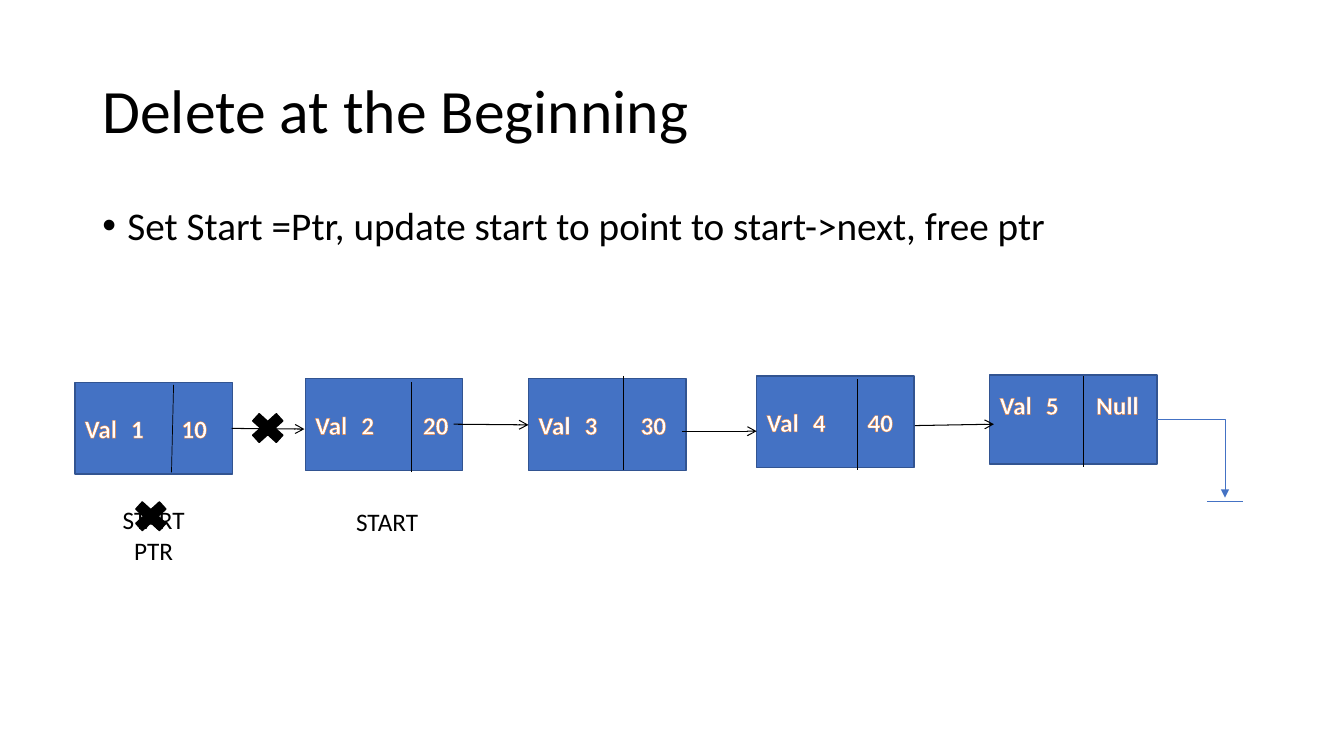
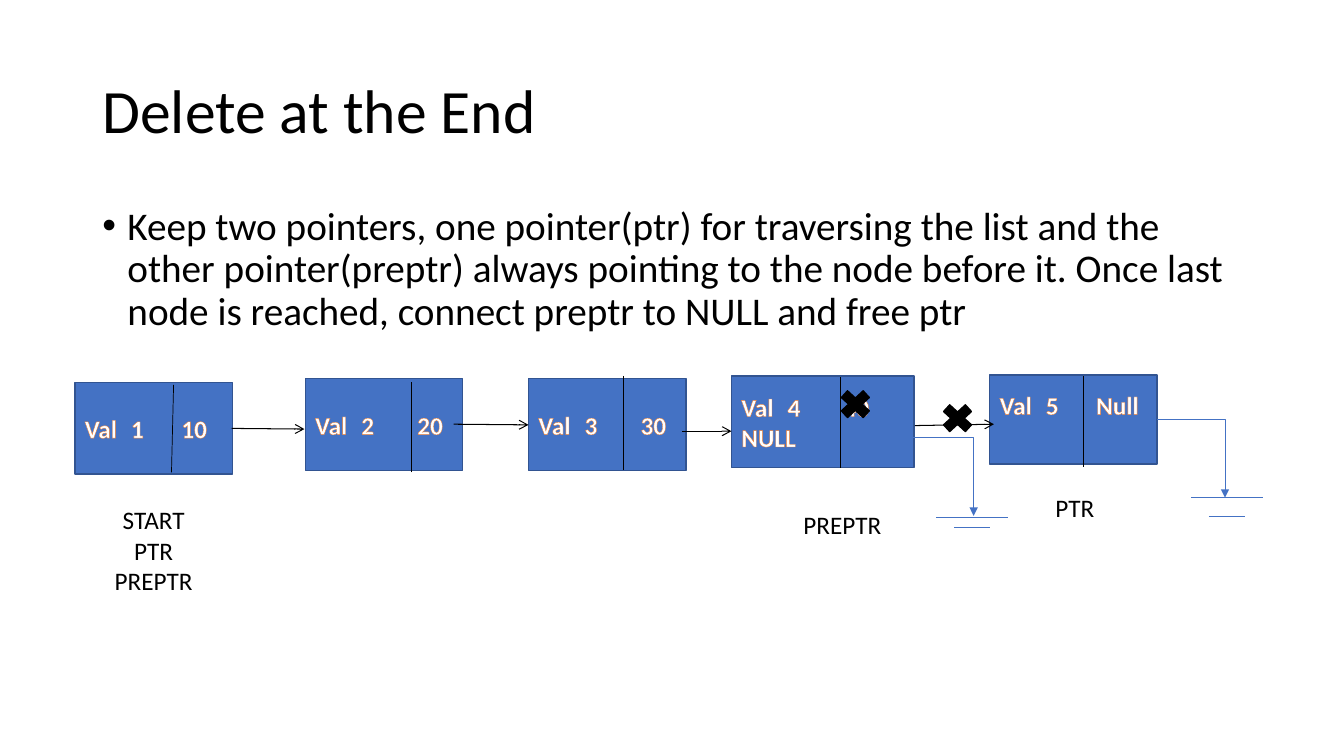
"""Build two slides on deleting nodes from a linked list."""
from dataclasses import dataclass, replace

from lxml.etree import SubElement
from pptx import Presentation
from pptx.dml.color import RGBColor as Rgb
from pptx.enum.shapes import MSO_CONNECTOR as Link, MSO_SHAPE as Form
from pptx.enum.text import MSO_ANCHOR as Anchor, MSO_AUTO_SIZE as Fit, PP_ALIGN as Align
from pptx.oxml.ns import qn
from pptx.util import Pt


@dataclass(frozen=True)
class Theme:
    """Hold the colours, font and sizes of the deck."""
    font: str = "Calibri"
    ink: str = "000000"
    pale: str = "FFFFFF"
    blue: str = "4472C4"
    edge: str = "325491"
    glow: str = "ED7D31"
    title: float = 44
    body: float = 28
    label: float = 18
    rim: float = 1
    thin: float = 0.5
    arrow: float = 0.75
    halo: float = 1.75


@dataclass(frozen=True)
class Node:
    """Hold one list node, its divider and its outgoing arrow."""
    x: float
    y: float
    lines: tuple
    tab: float
    split: tuple
    arrow: tuple = ()
    w: float = 112.5
    h: float = 65.5
    foot: float = 3.6


THEME = Theme()
NODES = (
    Node(53.5, 273, ("Val\t1\t10",), 69, (122.5, 337.5, 124, 275),
         (165.5, 306, 217.5, 306.5)),
    Node(218, 270.5, ("Val\t2\t20",), 77, (294, 337.5, 294, 273),
         (324, 303, 377.5, 303.5)),
    Node(377.5, 270.5, ("Val\t3\t30",), 73, (445.5, 268.5, 445.5, 336),
         (487.5, 308, 540.5, 308)),
    Node(540.5, 268.5, ("Val\t4\t40",), 72, (612.5, 335.5, 612.5, 270.5),
         (653.5, 304, 710, 303)),
    Node(707, 268, ("Val\t5\tNull",), 69, (774, 333.5, 774, 268.5),
         w=119.5, h=63.5, foot=25),
)


def points(*nums):
    """Turn numbers into lengths in points."""
    return [Pt(num) for num in nums]


def write(para, text, size, color=THEME.ink, bold=False):
    """Add one styled run to a paragraph."""
    run = para.add_run()
    run.text = text
    font = run.font
    font.name, font.size, font.bold = THEME.font, Pt(size), bold
    font.color.rgb = Rgb.from_string(color)
    return run


def outline(run):
    """Give the letters of a run a coloured rim."""
    props = run.font._element if hasattr(run.font, "_element") else run._r.get_or_add_rPr()
    line = props.makeelement(qn("a:ln"), {"w": str(Pt(THEME.halo))})
    fill = SubElement(line, qn("a:solidFill"))
    SubElement(fill, qn("a:srgbClr"), val=THEME.glow)
    props.insert(0, line)


def stops(para, *places):
    """Set the tab stops of a paragraph."""
    tabs = SubElement(para._p.get_or_add_pPr(), qn("a:tabLst"))
    for place in places:
        SubElement(tabs, qn("a:tab"), pos=str(Pt(place)), algn="l")


def shape(slide, form, box, fill, edge):
    """Add a flat preset shape."""
    item = slide.shapes.add_shape(form, *points(*box))
    item.shadow.inherit = False
    item.fill.solid()
    item.fill.fore_color.rgb = Rgb.from_string(fill)
    item.line.color.rgb = Rgb.from_string(edge)
    item.line.width = Pt(THEME.rim)
    return item


def line(slide, ends, color=THEME.ink, width=THEME.thin, head=None, kind=Link.STRAIGHT):
    """Add a line, with an arrowhead at its end if one is named."""
    item = slide.shapes.add_connector(kind, *points(*ends))
    item.line.color.rgb = Rgb.from_string(color)
    item.line.width = Pt(width)
    if head:
        SubElement(item.line._get_or_add_ln(), qn("a:tailEnd"), type=head)
    SubElement(item._element.spPr, qn("a:effectLst"))
    return item


def elbow(slide, ends):
    """Add an arrow that runs right and then down."""
    item = line(slide, ends, THEME.blue, head="triangle", kind=Link.ELBOW)
    item._element.spPr.find(qn("a:prstGeom")).set("prst", "bentConnector2")


def bar(slide, mid, y, width):
    """Add one level stroke of a ground sign."""
    line(slide, (mid - width / 2, y, mid + width / 2, y), THEME.blue)


def cross(slide, x, y, w, h):
    """Add a black cross."""
    shape(slide, Form.MATH_MULTIPLY, (x, y, w, h), THEME.ink, THEME.ink)


def label(slide, box, *names):
    """Add centred pointer names, one to a line."""
    frame = slide.shapes.add_textbox(*points(*box)).text_frame
    frame.word_wrap = True
    for i, name in enumerate(names):
        para = frame.add_paragraph() if i else frame.paragraphs[0]
        para.alignment = Align.CENTER
        write(para, name, THEME.label)


def draw(slide, node):
    """Add the box of a node with its text."""
    item = shape(slide, Form.RECTANGLE, (node.x, node.y, node.w, node.h),
                 THEME.blue, THEME.edge)
    frame = item.text_frame
    frame.word_wrap = True
    frame.vertical_anchor = Anchor.MIDDLE
    frame.margin_bottom = Pt(node.foot)
    para = frame.paragraphs[0]
    para.alignment = Align.LEFT
    stops(para, 33, node.tab)
    for i, text in enumerate(node.lines):
        if i:
            para.add_line_break()
        outline(write(para, text, THEME.label, THEME.pale, True))


def chain(slide, nodes):
    """Add the list: boxes, dividers, arrows and the last elbow."""
    for node in nodes:
        draw(slide, node)
    for node in nodes:
        line(slide, node.split)
        if node.arrow:
            line(slide, node.arrow, width=THEME.arrow, head="arrow")
    elbow(slide, (826.5, 299.5, 875, 355.5))


def bullet(slide, text):
    """Add the bulleted statement under the title."""
    frame = slide.shapes.add_textbox(*points(66, 144, 828, 342.5)).text_frame
    frame.word_wrap = True
    para = frame.paragraphs[0]
    para.line_spacing, para.space_before = 0.9, Pt(10)
    props = para._p.get_or_add_pPr()
    props.set("marL", str(Pt(18)))
    props.set("indent", str(Pt(-18)))
    SubElement(props, qn("a:buFont"), typeface="Arial")
    SubElement(props, qn("a:buChar"), char="•")
    write(para, text, THEME.body)


def page(deck, title, text, nodes):
    """Add a slide with its title, statement and list."""
    slide = deck.slides.add_slide(deck.slide_layouts[5])
    head = slide.shapes.title
    head.left, head.top, head.width, head.height = points(66, 29, 828, 104.5)
    frame = head.text_frame
    frame.word_wrap, frame.auto_size = True, Fit.NONE
    frame.vertical_anchor = Anchor.MIDDLE
    para = frame.paragraphs[0]
    para.alignment, para.line_spacing = Align.LEFT, 0.9
    write(para, title, THEME.title)
    bullet(slide, text)
    chain(slide, nodes)
    return slide


def first(deck):
    """Build the slide on deleting the first node."""
    slide = page(deck, "Delete at the Beginning",
                 "Set Start =Ptr, update start to point to start->next, free ptr", NODES)
    bar(slide, 875, 358, 26)
    label(slide, (53.5, 357, 112.5, 73), "START", "PTR")
    label(slide, (229, 358, 95, 29), "START")
    for x, y in ((91.5, 354), (175, 291)):
        cross(slide, x, y, 32.5, 29.5)


def last(deck):
    """Build the slide on deleting the last node."""
    one, two, three, four, five = NODES
    two = replace(two, tab=73)
    three = replace(three, arrow=(487.5, 308, 522.5, 308))
    four = replace(four, x=522.5, w=130.5, lines=("Val\t4\t40", "NULL"), tab=73,
                   split=(600, 334, 600, 269))
    slide = page(deck, "Delete at the End",
                 "Keep two pointers, one pointer(ptr) for traversing the list and the "
                 "other pointer(preptr) always pointing to the node before it. Once last "
                 "node is reached, connect preptr to NULL and free ptr",
                 (one, two, three, four, five))
    elbow(slide, (648, 312.5, 695.5, 368.5))
    for mid, y, gap in ((876.5, 355.5, 13), (694.5, 369.5, 7)):
        bar(slide, mid, y, 51.5)
        bar(slide, mid, y + gap, 26)
    label(slide, (53.5, 357, 112.5, 73), "START", "PTR", "PREPTR")
    label(slide, (720.5, 348, 94.5, 29), "PTR")
    label(slide, (554.5, 360.5, 94.5, 29), "PREPTR")
    for x, y in ((669, 285), (596, 275)):
        cross(slide, x, y, 30, 27.5)


def main():
    """Build and save the deck."""
    deck = Presentation()
    deck.slide_width, deck.slide_height = points(960, 540)
    first(deck)
    last(deck)
    deck.save("out.pptx")


main()
